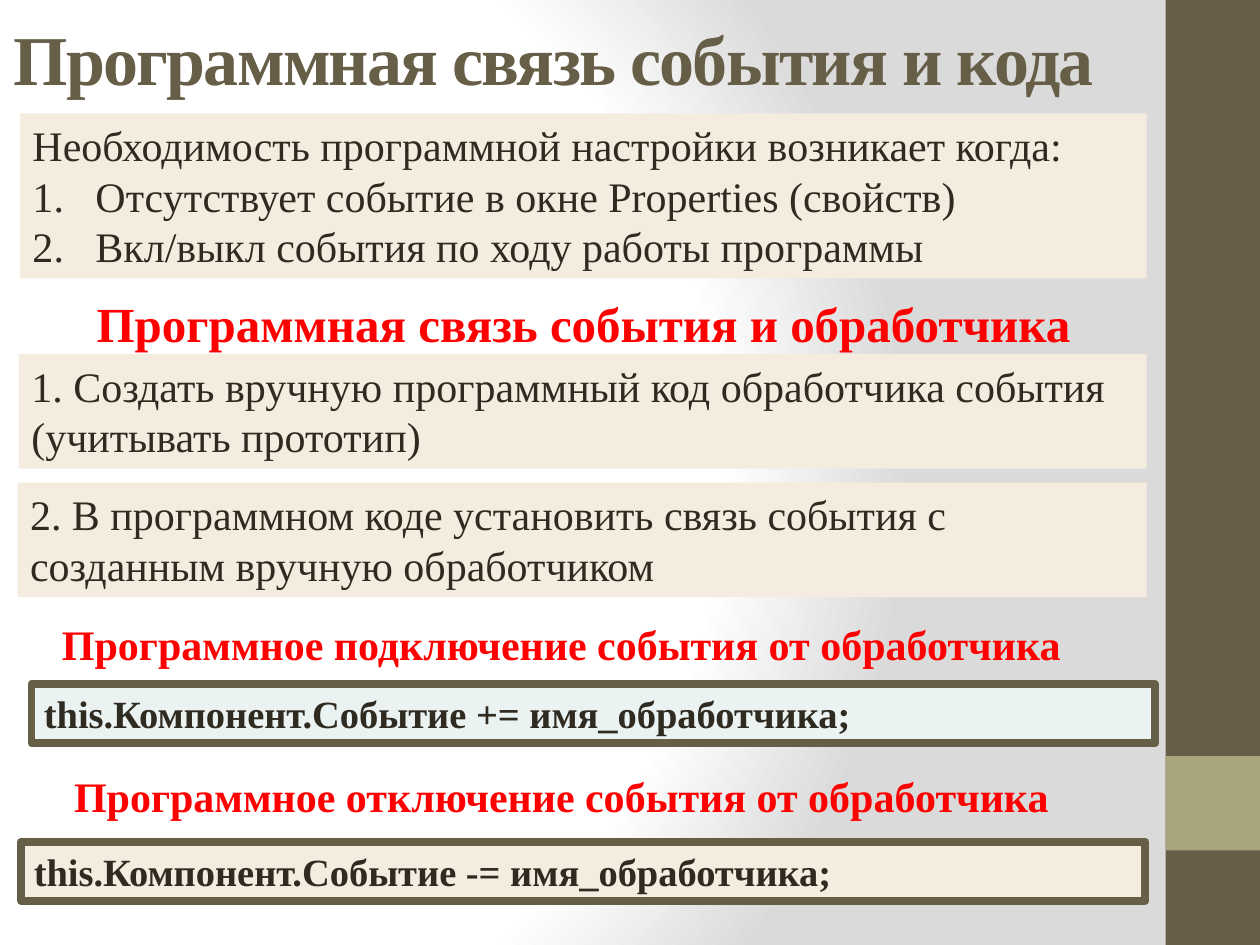
from lxml import etree
from pptx import Presentation
from pptx.dml.color import RGBColor
from pptx.enum.shapes import MSO_SHAPE
from pptx.enum.text import MSO_ANCHOR, MSO_AUTO_SIZE, PP_ALIGN
from pptx.oxml import parse_xml
from pptx.oxml.ns import qn
from pptx.util import Inches, Pt

BROWN, OLIVE, CREAM, MINT = "675E47", "A9A57C", "F4ECDF", "EBF2F2"
INK, RED = "2F2B20", "FF0000"
FONT = "Times New Roman"
GRAD = """<a:gradFill xmlns:a="http://schemas.openxmlformats.org/drawingml/2006/main" rotWithShape="1">
<a:gsLst>
<a:gs pos="0"><a:srgbClr val="FFFFFF"/></a:gs>
<a:gs pos="75000"><a:srgbClr val="FFFFFF"/></a:gs>
<a:gs pos="100000"><a:srgbClr val="DADADA"/></a:gs>
</a:gsLst>
<a:path path="circle"><a:fillToRect l="20000" t="50000" r="100000" b="50000"/></a:path>
</a:gradFill>"""


def color(code):
    return RGBColor.from_string(code)


class Deck:
    def __init__(self):
        self.prs = Presentation()
        self.prs.slide_width, self.prs.slide_height = Inches(10), Inches(7.5)
        self.slide = self.prs.slides.add_slide(self.prs.slide_layouts[6])

    def backdrop(self):
        fill = self.slide.background.fill
        fill.gradient()
        old = next(self.slide.element.iter(qn("a:gradFill")))
        old.getparent().replace(old, parse_xml(GRAD))

    def rect(self, box, fill, line=None):
        shape = self.slide.shapes.add_shape(MSO_SHAPE.RECTANGLE, *map(Inches, box))
        shape.shadow.inherit = False
        shape.fill.solid()
        shape.fill.fore_color.rgb = color(fill)
        if line:
            shape.line.color.rgb = color(line)
            shape.line.width = Pt(4.5)
        else:
            shape.line.fill.background()
        return shape

    def add_text(self, para, text, size, ink, bold=False):
        run = para.add_run()
        run.text = text
        font = run.font
        font.name, font.size, font.bold = FONT, Pt(size), bold
        font.color.rgb = color(ink)
        return run

    def number(self, para):
        props = para._p.get_or_add_pPr()
        props.set("marL", str(Inches(0.5)))
        props.set("indent", str(Inches(-0.5)))
        etree.SubElement(props, qn("a:buFont"), typeface="+mj-lt")
        etree.SubElement(props, qn("a:buAutoNum"), type="arabicPeriod")

    def panel(self, box, lines, fill=CREAM, line=None, size=24, bold=False):
        frame = self.rect(box, fill, line).text_frame
        frame.word_wrap = True
        frame.auto_size = MSO_AUTO_SIZE.SHAPE_TO_FIT_TEXT
        frame.vertical_anchor = MSO_ANCHOR.TOP
        for i, text in enumerate(lines):
            para = frame.add_paragraph() if i else frame.paragraphs[0]
            para.alignment = PP_ALIGN.LEFT
            if i:
                self.number(para)
            self.add_text(para, text, size, INK, bold)

    def code(self, box, text, fill):
        self.panel(box, [text], fill, BROWN, 22, True)

    def head(self, box, text, size=24, ink=RED, align=PP_ALIGN.CENTER):
        frame = self.slide.shapes.add_textbox(*map(Inches, box)).text_frame
        frame.word_wrap = True
        frame.vertical_anchor = MSO_ANCHOR.MIDDLE
        para = frame.paragraphs[0]
        para.alignment = align
        return self.add_text(para, text, size, ink, True)

    def title(self, box, text):
        run = self.head(box, text, 40, BROWN, PP_ALIGN.LEFT)
        run._r.get_or_add_rPr().set("spc", "-100")


def main():
    deck = Deck()
    deck.backdrop()
    deck.rect((9.25, 0, 0.75, 7.5), BROWN)
    deck.rect((9.25, 6, 0.75, 0.75), OLIVE)
    deck.title((0.01, 0, 9.17, 0.92), "Программная связь события и кода")
    deck.panel((0.16, 0.9, 8.94, 1.31), [
        "Необходимость программной настройки возникает когда:",
        "Отсутствует событие в окне Properties (свойств)",
        "Вкл/выкл события по ходу работы программы",
    ])
    deck.head((0.17, 2.25, 8.92, 0.63), "Программная связь события и обработчика", 28)
    deck.panel((0.15, 2.81, 8.95, 0.91), [
        "1. Создать вручную программный код обработчика события (учитывать прототип)"])
    deck.panel((0.14, 3.83, 8.96, 0.91), [
        "2. В программном коде установить связь события с созданным вручную обработчиком"])
    deck.code((0.25, 5.43, 8.92, 0.47), "this.Компонент.Событие += имя_обработчика;", MINT)
    deck.code((0.17, 6.68, 8.92, 0.47), "this.Компонент.Событие -= имя_обработчика;", CREAM)
    for top, word in (4.79, "подключение"), (6, "отключение"):
        deck.head((-0.04, top, 8.99, 0.63), f"Программное {word} события от обработчика")
    deck.prs.save("out.pptx")


if __name__ == "__main__":
    main()
